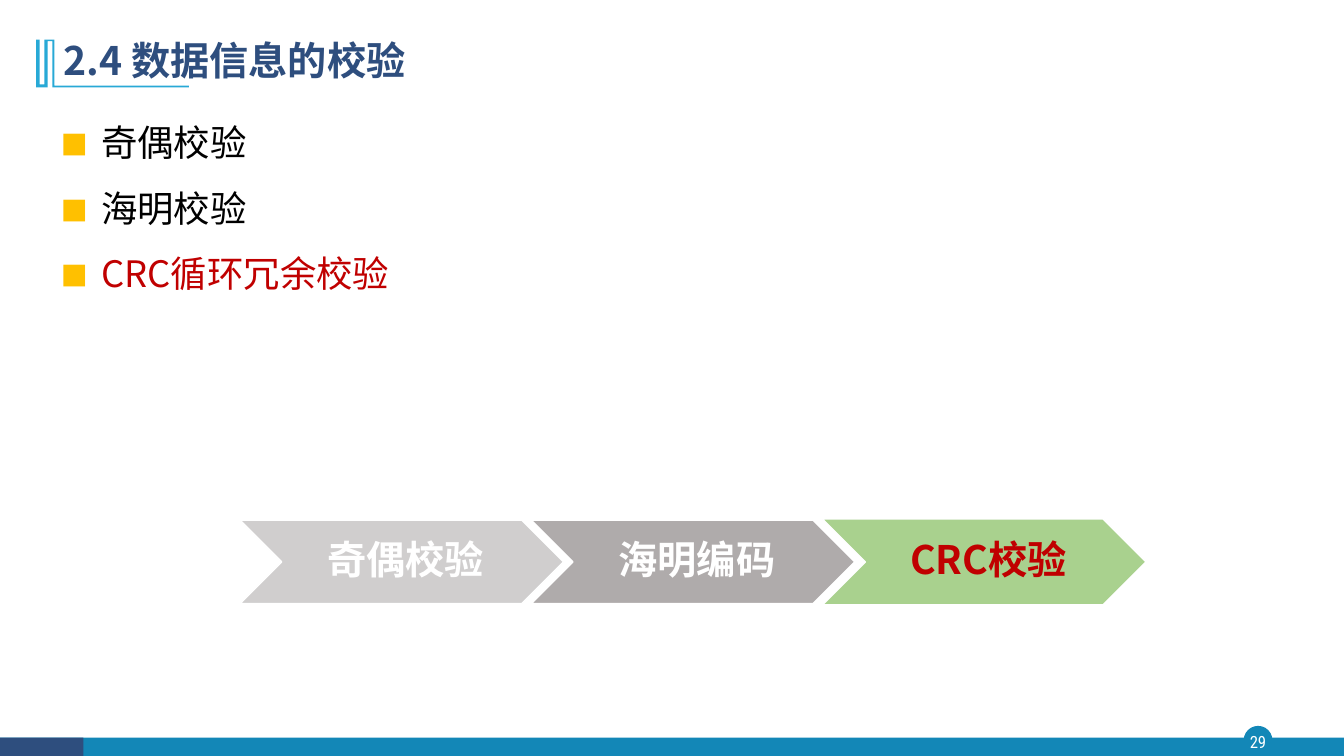
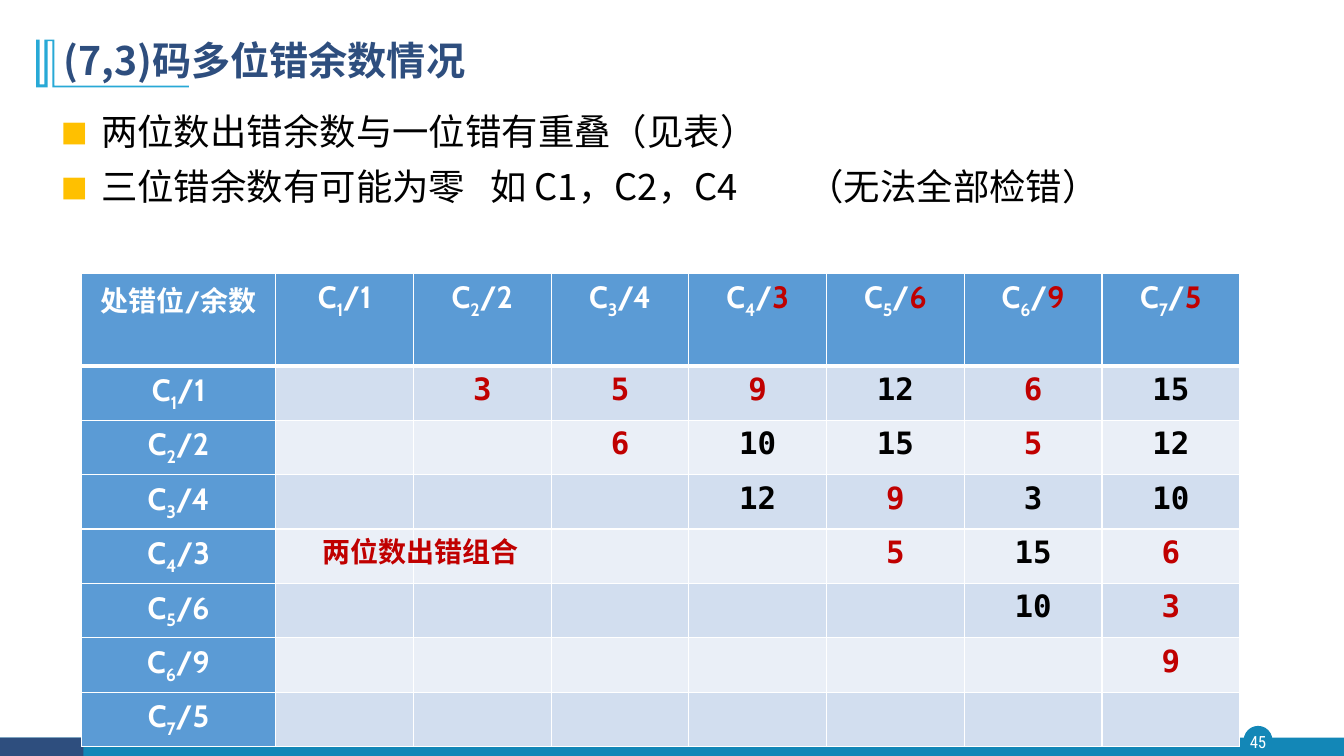
import pptx
import pptx.dml.color
import pptx.enum.shapes
import pptx.enum.text
import pptx.oxml.ns
import pptx.util
from lxml import etree

Cm = pptx.util.Cm
Pt = pptx.util.Pt
qn = pptx.oxml.ns.qn
SHAPE = pptx.enum.shapes.MSO_SHAPE
ALIGN = pptx.enum.text.PP_ALIGN
MIDDLE = pptx.enum.text.MSO_ANCHOR.MIDDLE

SANS, CABIN, MONO = "Noto Sans CJK SC", "Cabin", "DejaVu Sans Mono"
NAVY, BLUE, CYAN = "2E4E7E", "1387B7", "28A9D6"
RED, BLACK, WHITE, YELLOW = "C00000", "000000", "FFFFFF", "FFC000"
HEAD_FILL, BAND_FILLS = "5B9BD5", ("D2DEEF", "EAEFF7")


def rgb(color):
    return pptx.dml.color.RGBColor.from_string(color)


def add_run(p, text, size, color, font=SANS, bold=False, subscript=False):
    r = p.add_run()
    r.text = text
    r.font.size = Pt(size)
    r.font.bold = bold
    r.font.color.rgb = rgb(color)
    r.font.name = font
    rPr = r._r.get_or_add_rPr()
    etree.SubElement(rPr, qn("a:ea"), typeface=SANS)
    if subscript:
        rPr.set("baseline", "-25000")


prs = pptx.Presentation()
prs.slide_width, prs.slide_height = Cm(33.87), Cm(19.05)

# Shared frame, title and bullets
BANDS = [(0, 33.87, BLUE), (0, 2.1, NAVY)]
TITLE_MARK = [(1.37, 1), (1.37, 2.16), (4.76, 2.16), (4.76, 2.2), (1.32, 2.2),
              (1.32, 1.04), (1.2, 1.04), (1.2, 2.2), (0.91, 2.2), (0.91, 1),
              (1, 1), (1, 2.13), (1.12, 2.13), (1.12, 1)]
# page number, title, line spacing, body height, bullets with colours
PAGES = [
    ("29", "2.4 数据信息的校验", 1.5, 6.5,
     [("奇偶校验", BLACK), ("海明校验", BLACK), ("CRC循环冗余校验", RED)]),
    ("45", "(7,3)码多位错余数情况", 1.25, 3.9,
     [("两位数出错余数与一位错有重叠（见表）", BLACK),
      ("三位错余数有可能为零\t如 C1，C2，C4\t（无法全部检错）", BLACK)]),
]
TAB_STOPS = (10.75, 18.75)

slides = []
for number, title, spacing, height, bullets in PAGES:
    s = prs.slides.add_slide(prs.slide_layouts[5])
    slides.append(s)

    for left, width, color in BANDS:
        sp = s.shapes.add_shape(SHAPE.RECTANGLE, Cm(left), Cm(18.59), Cm(width), Cm(0.46))
        sp.shadow.inherit = False
        sp.fill.solid()
        sp.fill.fore_color.rgb = rgb(color)
        sp.line.fill.background()

    sp = s.shapes.add_shape(SHAPE.OVAL, Cm(31.36), Cm(18.31), Cm(0.69), Cm(0.69))
    sp.shadow.inherit = False
    sp.fill.solid()
    sp.fill.fore_color.rgb = rgb(BLUE)
    sp.line.color.rgb = rgb(BLUE)
    sp.line.width = Pt(1)
    tf = sp.text_frame
    tf.word_wrap = False
    tf.vertical_anchor = MIDDLE
    tf.margin_left = tf.margin_right = tf.margin_bottom = 0
    tf.margin_top = Cm(0.1)
    tf.paragraphs[0].alignment = ALIGN.CENTER
    add_run(tf.paragraphs[0], number, 12, WHITE, "Roboto Condensed")

    points = [(Cm(x), Cm(y)) for x, y in TITLE_MARK]
    outline = s.shapes.build_freeform(*points[0])
    outline.add_line_segments(points[1:], close=True)
    sp = outline.convert_to_shape()
    sp.shadow.inherit = False
    sp.fill.solid()
    sp.fill.fore_color.rgb = rgb(CYAN)
    sp.line.fill.background()

    sp = s.shapes.title
    sp.left, sp.top, sp.width, sp.height = Cm(1.35), Cm(0.71), Cm(29.21), Cm(1.73)
    tf = sp.text_frame
    tf.vertical_anchor = MIDDLE
    p = tf.paragraphs[0]
    p.alignment = ALIGN.LEFT
    p.line_spacing = 0.9
    add_run(p, title, 28, NAVY, bold=True)

    tf = s.shapes.add_textbox(Cm(1.35), Cm(2.36), Cm(29.21), Cm(height)).text_frame
    tf.word_wrap = True
    for i, (text, color) in enumerate(bullets):
        p = tf.add_paragraph() if i else tf.paragraphs[0]
        p.alignment = ALIGN.JUSTIFY
        p.line_spacing = spacing
        pPr = p._p.get_or_add_pPr()
        pPr.set("marL", str(Cm(0.95)))
        pPr.set("indent", str(-Cm(0.95)))
        bullet_color = etree.SubElement(pPr, qn("a:buClr"))
        etree.SubElement(bullet_color, qn("a:srgbClr"), val=YELLOW)
        etree.SubElement(pPr, qn("a:buFont"), typeface=MONO)
        etree.SubElement(pPr, qn("a:buChar"), char="■")
        if "\t" in text:
            tabs = etree.SubElement(pPr, qn("a:tabLst"))
            for stop in TAB_STOPS:
                etree.SubElement(tabs, qn("a:tab"), pos=str(Cm(stop)), algn="l")
        add_run(p, text, 26, color)

intro, remainders = slides

# Chevron steps
STEPS = [("奇偶校验", "D0CECE", WHITE, 2.1), ("海明编码", "AFABAB", WHITE, 2.1),
         ("CRC校验", "A9D18E", RED, 2.16)]
for i, (text, fill, color, height) in enumerate(STEPS):
    sp = intro.shapes.add_shape(SHAPE.CHEVRON, Cm(6.05 + 7.34 * i), Cm(14.16 - height / 2),
                                Cm(8.15), Cm(height))
    sp.shadow.inherit = False
    sp.fill.solid()
    sp.fill.fore_color.rgb = rgb(fill)
    sp.line.color.rgb = rgb(WHITE)
    sp.line.width = Pt(1)
    tf = sp.text_frame
    tf.word_wrap = True
    tf.vertical_anchor = MIDDLE
    tf.margin_left = Cm(0.3)
    tf.margin_top = tf.margin_right = tf.margin_bottom = Cm(0.1)
    p = tf.paragraphs[0]
    p.alignment = ALIGN.CENTER
    p.line_spacing = 0.9
    add_run(p, text, 28, color, bold=True)

# Remainders of two-bit errors: row and column i stand for bit Ci
SINGLE = [1, 2, 4, 3, 6, 9, 5]
DOUBLE = [[3, 5, 9, 12, 6, 15], [6, 10, 15, 5, 12], [12, 9, 3, 10], [5, 15, 6], [10, 3], [9]]
OVERLAPS = {3, 5, 6, 9}
UNMARKED = (3, 6)

size = len(SINGLE) + 1
table = remainders.shapes.add_table(size, size, Cm(2.05), Cm(6.88), Cm(29.19), Cm(11.93)).table
for i in range(size):
    table.columns[i].width = Cm(3.47 if i else 4.9)
    table.rows[i].height = Cm(1.37 if i else 2.34)

for row in range(size):
    for col in range(size):
        cell = table.cell(row, col)
        cell.margin_left = cell.margin_right = Cm(0.3)
        cell.margin_top = cell.margin_bottom = Cm(0.15)
        tcPr = cell._tc.get_or_add_tcPr()
        for side in ("L", "R", "T", "B"):
            thick = (row, side) in ((0, "B"), (1, "T"))
            ln = etree.SubElement(tcPr, qn("a:ln" + side), w=str(Pt(3 if thick else 1)))
            line_fill = etree.SubElement(ln, qn("a:solidFill"))
            etree.SubElement(line_fill, qn("a:srgbClr"), val=WHITE)
        is_head = row == 0 or col == 0
        cell.fill.solid()
        cell.fill.fore_color.rgb = rgb(HEAD_FILL if is_head else BAND_FILLS[(row - 1) % 2])

        p = cell.text_frame.paragraphs[0]
        p.alignment = ALIGN.CENTER
        if row == col == 0:
            add_run(p, "处错位/余数", 20, WHITE, CABIN, True)
        elif is_head:
            bit = row + col
            value = SINGLE[bit - 1]
            add_run(p, "C", 22, WHITE, CABIN, True)
            add_run(p, str(bit), 22, WHITE, CABIN, True, subscript=True)
            add_run(p, "/", 22, WHITE, CABIN, True)
            marked = row == 0 and value in OVERLAPS
            add_run(p, str(value), 22, RED if marked else WHITE, CABIN, True)
        elif col > row:
            value = DOUBLE[row - 1][col - row - 1]
            marked = value in OVERLAPS and (row, col) != UNMARKED
            add_run(p, str(value), 22, RED if marked else BLACK, MONO, True)

tf = remainders.shapes.add_textbox(Cm(7.87), Cm(13.34), Cm(5.51), Cm(1.12)).text_frame
tf.word_wrap = False
add_run(tf.paragraphs[0], "两位数出错组合", 20, RED, CABIN, True)

prs.save("out.pptx")
